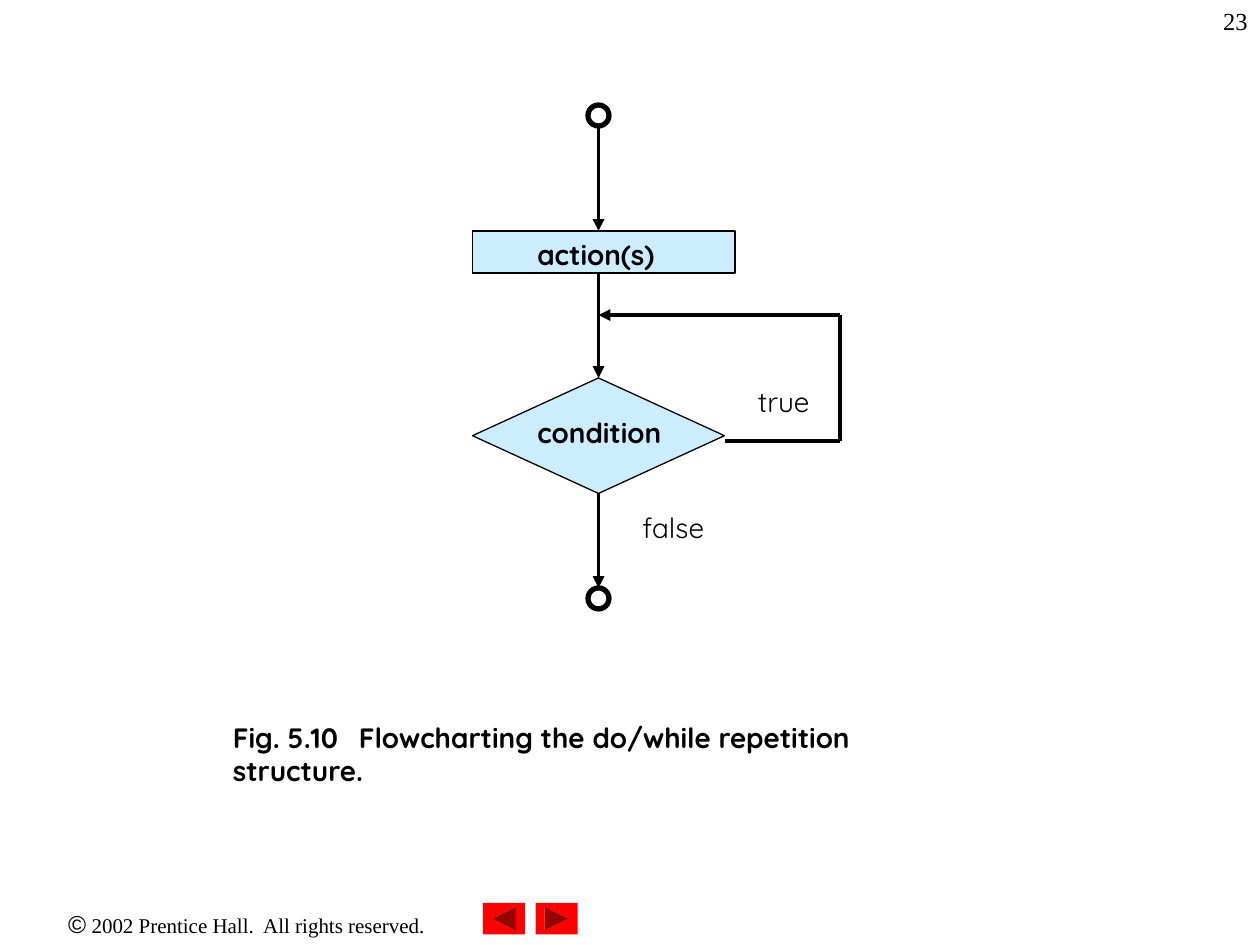
from dataclasses import dataclass

from lxml.etree import SubElement
from pptx import Presentation
from pptx.dml.color import RGBColor
from pptx.enum.shapes import MSO_CONNECTOR, MSO_SHAPE
from pptx.enum.text import PP_ALIGN
from pptx.oxml.ns import qn
from pptx.util import Emu, Pt


@dataclass(frozen=True)
class Theme:
    ink: RGBColor = RGBColor(0, 0, 0)
    paper: RGBColor = RGBColor(255, 255, 255)
    box: RGBColor = RGBColor(0xCC, 0xEC, 0xFF)
    button: RGBColor = RGBColor(255, 0, 0)
    label_font: str = "Quicksand"
    footer_font: str = "Times New Roman"
    symbol_font: str = "Arial"
    label_size: int = 16
    number_size: int = 14
    footer_size: int = 12
    outline: float = 0.75
    flow: float = 2.25
    ring: float = 3


THEME = Theme()
AXIS = 456  # centre of the vertical flow
LOOP = 640  # right edge of the loop
RING = 16  # diameter of the start and end circles
LABEL_H = 35


def px(n):
    return Emu(n * 9525)


def format_run(r, font, size, bold=False):
    r.font.name = font
    r.font.size = Pt(size)
    r.font.bold = bold
    r.font.color.rgb = THEME.ink


def add_text(s, x, y, w, h, runs, align=PP_ALIGN.LEFT, wrap=True, tab=None):
    """Add one paragraph; runs holds (text, font, size, bold) tuples."""
    tf = s.shapes.add_textbox(px(x), px(y), px(w), px(h)).text_frame
    tf.word_wrap = wrap
    p = tf.paragraphs[0]
    p.alignment = align
    if tab:
        tabs = SubElement(p._p.get_or_add_pPr(), qn("a:tabLst"))
        SubElement(tabs, qn("a:tab"), pos=str(px(tab)), algn="l")
    for text, *style in runs:
        r = p.add_run()
        r.text = text
        format_run(r, *style)


def add_label(s, x, y, w, text, bold=False, wrap=False, tab=None):
    run = (text, THEME.label_font, THEME.label_size, bold)
    add_text(s, x, y, w, LABEL_H, [run], wrap=wrap, tab=tab)


def add_node(s, kind, x, y, w, h, fill, line=None):
    sp = s.shapes.add_shape(kind, px(x), px(y), px(w), px(h))
    sp.shadow.inherit = False
    sp.fill.solid()
    sp.fill.fore_color.rgb = fill
    if line:
        sp.line.color.rgb = THEME.ink
        sp.line.width = Pt(line)
    else:
        sp.line.fill.background()
    return sp


def add_flow(s, x1, y1, x2, y2, arrow=False):
    c = s.shapes.add_connector(MSO_CONNECTOR.STRAIGHT, px(x1), px(y1), px(x2), px(y2))
    c.line.color.rgb = THEME.ink
    c.line.width = Pt(THEME.flow)
    if arrow:
        SubElement(c.line._get_or_add_ln(), qn("a:tailEnd"), type="triangle")
    SubElement(c._element.spPr, qn("a:effectLst"))


def add_footer(s):
    copyright_runs = [
        ("©", THEME.symbol_font, THEME.number_size),
        (" 2002 Prentice Hall.  All rights reserved.", THEME.footer_font, THEME.footer_size),
    ]
    add_text(s, 0, 688, 376, 33, copyright_runs, PP_ALIGN.CENTER)
    for x, turn in ((408, 0), (368, 180)):
        sp = add_node(s, MSO_SHAPE.ACTION_BUTTON_FORWARD_OR_NEXT, x, 688, 32, 24, THEME.button)
        sp.rotation = turn


def add_flowchart(s):
    # Start and end circles
    for y in (80, 448):
        add_node(s, MSO_SHAPE.OVAL, AXIS - RING // 2, y, RING, RING, THEME.paper, THEME.ring)

    # Condition and action
    add_node(s, MSO_SHAPE.DIAMOND, 360, 288, 192, 88, THEME.box, THEME.outline)
    for top, bottom in ((96, 176), (208, 288), (376, 448)):
        add_flow(s, AXIS, top, AXIS, bottom, arrow=True)
    add_node(s, MSO_SHAPE.RECTANGLE, 360, 176, 200, 32, THEME.box, THEME.outline)

    # Loop back to the condition
    add_flow(s, 552, 336, LOOP, 336)
    add_flow(s, LOOP, 240, LOOP, 336)
    add_flow(s, LOOP, 240, AXIS, 240, arrow=True)

    # Labels
    add_label(s, 400, 176, 112, "action(s)", bold=True, wrap=True)
    add_label(s, 400, 312, 116, "condition", bold=True)
    add_label(s, 568, 288, 60, "true")
    add_label(s, 480, 384, 66, "false")


def main():
    prs = Presentation()
    prs.slide_width, prs.slide_height = px(960), px(720)
    s = prs.slides.add_slide(prs.slide_layouts[6])

    add_footer(s)
    # Page number
    add_text(s, 760, 0, 200, 48, [("23", THEME.footer_font, THEME.number_size)], PP_ALIGN.RIGHT)
    add_flowchart(s)
    # Caption
    add_label(s, 168, 544, 592, "Fig. 5.10\tFlowcharting the do/while repetition structure.",
              bold=True, wrap=True, tab=96)

    prs.save("out.pptx")


if __name__ == "__main__":
    main()
